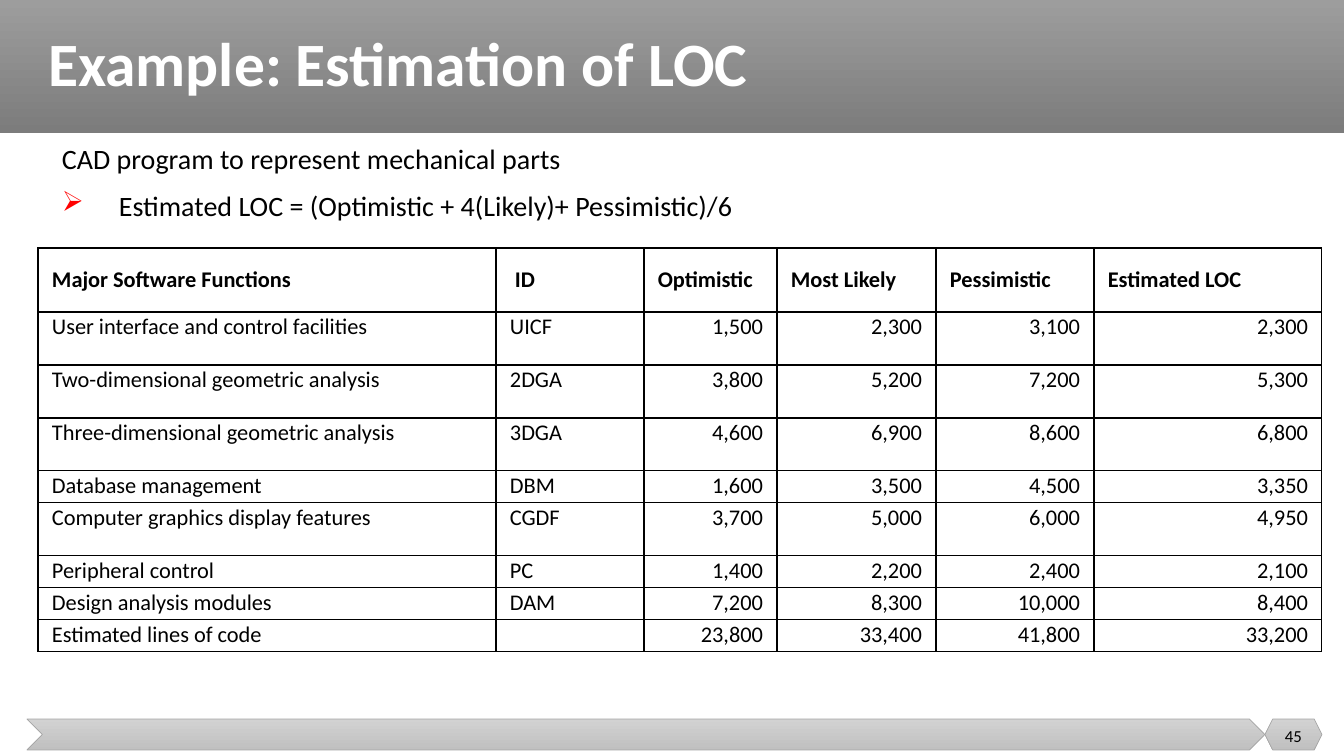
"""Build the slide that estimates lines of code for a CAD program."""
from lxml import etree
from pptx import Presentation
from pptx.dml.color import RGBColor
from pptx.enum.shapes import MSO_SHAPE
from pptx.enum.text import MSO_ANCHOR, PP_ALIGN
from pptx.oxml import parse_xml
from pptx.oxml.ns import nsdecls, qn
from pptx.util import Pt

RECT, CHEVRON, HEXAGON = MSO_SHAPE.RECTANGLE, MSO_SHAPE.CHEVRON, MSO_SHAPE.HEXAGON
MIDDLE = MSO_ANCHOR.MIDDLE
LEFT, CENTER, RIGHT = PP_ALIGN.LEFT, PP_ALIGN.CENTER, PP_ALIGN.RIGHT
PX = 914400 / 100.8
FONT = "Calibri"
COLORS = {
    "white": "FFFFFF", "black": "000000", "red": "FF0000", "edge": "A5A5A5",
    "band top": "9D9D9D", "band end": "7C7C7C",
    "foot top": "D2D2D2", "foot end": "C0C0C0",
}


def px(*sizes):
    return [round(size * PX) for size in sizes]


def style(para, size, color="black", bold=False, align=LEFT):
    para.alignment = align
    para.font.name = FONT
    para.font.size = Pt(size)
    para.font.bold = bold
    para.font.color.rgb = RGBColor.from_string(COLORS[color])


deck = Presentation()
deck.slide_width, deck.slide_height = px(1344, 756)
slide = deck.slides.add_slide(deck.slide_layouts[5])
shapes = slide.shapes

for kind, box, tone, edged in [
    (RECT, (0, 0, 1344, 133), "band", False),
    (CHEVRON, (27, 719, 1238, 31), "foot", True),
    (HEXAGON, (1265, 719, 57, 31), "foot", True),
]:
    shape = shapes.add_shape(kind, *px(*box))
    shape.shadow.inherit = False
    shape.fill.gradient()
    shape.fill.gradient_angle = 270
    for stop, end in zip(shape.fill.gradient_stops, ("top", "end")):
        stop.color.rgb = RGBColor.from_string(COLORS[f"{tone} {end}"])
    if edged:
        shape.line.color.rgb = RGBColor.from_string(COLORS["edge"])
        shape.line.width = Pt(0.5)
    else:
        shape.line.fill.background()

title = shapes.title
title.left, title.top, title.width, title.height = px(38, 0, 1284, 133)
title.element.getparent().append(title.element)
title.text_frame.text = "Example: Estimation of LOC"
title.text_frame.vertical_anchor = MIDDLE
heading = title.text_frame.paragraphs[0]
heading.line_spacing = 0.9
style(heading, 44, "white", True)

rows = [
    ("Major Software Functions", " ID", "Optimistic", "Most Likely", "Pessimistic", "Estimated LOC"),
    ("User interface and control facilities", "UICF", "1,500", "2,300", "3,100", "2,300"),
    ("Two-dimensional geometric analysis", "2DGA", "3,800", "5,200", "7,200", "5,300"),
    ("Three-dimensional geometric analysis", "3DGA", "4,600", "6,900", "8,600", "6,800"),
    ("Database management", "DBM", "1,600", "3,500", "4,500", "3,350"),
    ("Computer graphics display features", "CGDF", "3,700", "5,000", "6,000", "4,950"),
    ("Peripheral control", "PC", "1,400", "2,200", "2,400", "2,100"),
    ("Design analysis modules", "DAM", "7,200", "8,300", "10,000", "8,400"),
    ("Estimated lines of code", "", "23,800", "33,400", "41,800", "33,200"),
]
widths = [458, 148, 133, 159, 158, 228]
heights = [64, 53, 53, 53, 32, 53, 32, 32, 32]
table = shapes.add_table(
    len(rows), len(widths), *px(38, 248, sum(widths), sum(heights))
).table
table.first_row = table.horz_banding = False
for column, width in zip(table.columns, px(*widths)):
    column.width = width
for line, height in zip(table.rows, px(*heights)):
    line.height = height

for r, row in enumerate(rows):
    for c, text in enumerate(row):
        cell = table.cell(r, c)
        cell.text = text
        pad = 5 if text else 0
        cell.margin_left, cell.margin_right = px(14, 14)
        cell.margin_top, cell.margin_bottom = px(pad, pad)
        props = cell._tc.get_or_add_tcPr()
        for side in "LRTB":
            props.append(parse_xml(
                f'<a:ln{side} {nsdecls("a")} w="12700"><a:solidFill>'
                f'<a:srgbClr val="{COLORS["black"]}"/></a:solidFill></a:ln{side}>'
            ))
        para = cell.text_frame.paragraphs[0]
        if r == 0:
            cell.vertical_anchor = MIDDLE
            cell.fill.solid()
            cell.fill.fore_color.rgb = RGBColor.from_string(COLORS["white"])
            tint = props.find(qn("a:solidFill")).find(qn("a:srgbClr"))
            etree.SubElement(tint, qn("a:alpha"), val="21000")
            style(para, 16, bold=True)
        else:
            cell.fill.background()
            para.line_spacing = 0.8
            style(para, 16, align=RIGHT if c > 1 else LEFT)

intro = shapes.add_textbox(*px(52, 137, 1047, 107)).text_frame
intro.word_wrap = True
intro.text = (
    "CAD program to represent mechanical parts\n"
    "Estimated LOC = (Optimistic + 4(Likely)+ Pessimistic)/6"
)
indent = px(57)[0]
for i, para in enumerate(intro.paragraphs):
    props = para._p.get_or_add_pPr()
    props.set("marL", str(indent))
    props.set("indent", str(-indent))
    if i:
        tint = etree.SubElement(props, qn("a:buClr"))
        etree.SubElement(tint, qn("a:srgbClr"), val=COLORS["red"])
        etree.SubElement(props, qn("a:buChar"), char="➢")
        para.space_before = Pt(9)
    style(para, 20)

number = shapes.add_textbox(*px(1265, 716, 57, 40)).text_frame
number.word_wrap = True
number.vertical_anchor = MIDDLE
number.text = "45"
style(number.paragraphs[0], 12, align=CENTER)

deck.save("out.pptx")
